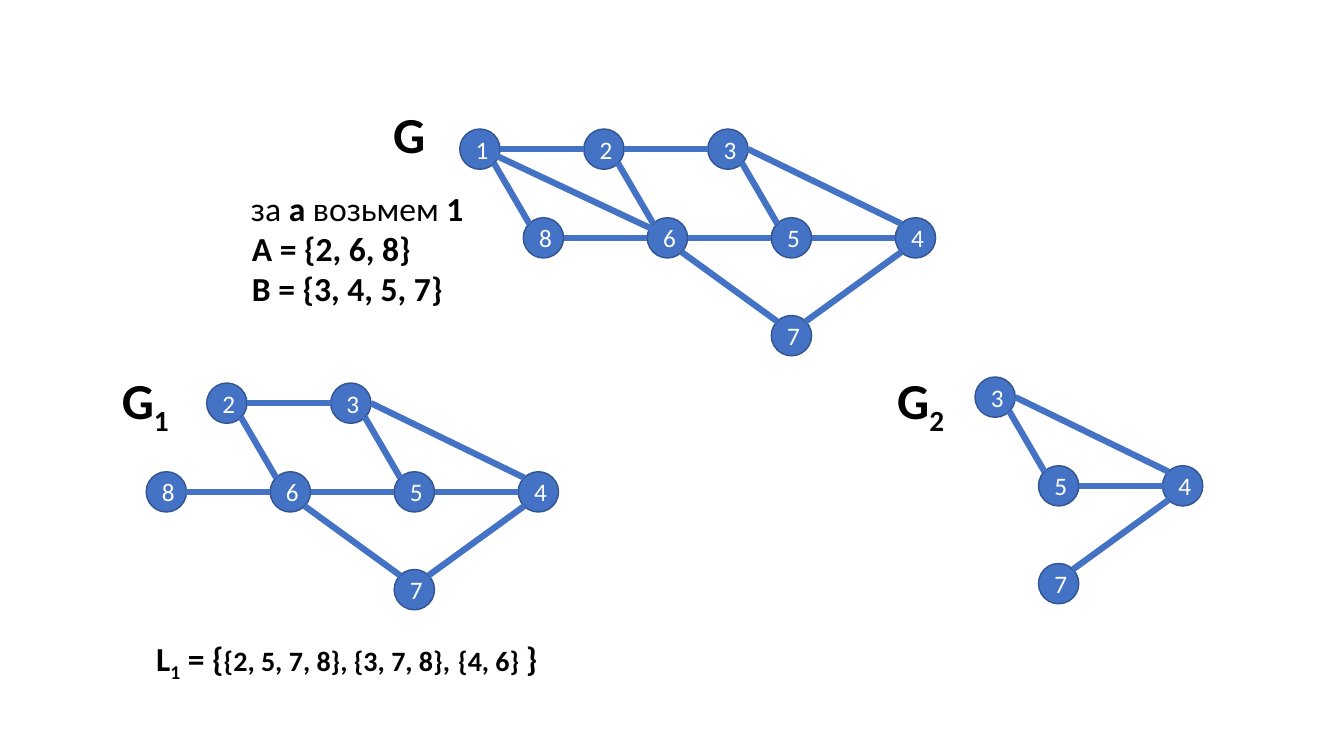
from lxml.etree import SubElement
from pptx import Presentation
from pptx.dml.color import RGBColor
from pptx.enum.shapes import MSO_CONNECTOR, MSO_SHAPE
from pptx.enum.text import MSO_ANCHOR, MSO_AUTO_SIZE, PP_ALIGN
from pptx.oxml.ns import qn
from pptx.util import Inches, Pt

BLUE = RGBColor(0x44, 0x72, 0xC4)
DARK_BLUE = RGBColor(0x32, 0x54, 0x91)
WHITE = RGBColor(0xFF, 0xFF, 0xFF)
BLACK = RGBColor(0, 0, 0)

DIAMETER = 0.4
RADIUS = DIAMETER / 2
STEP = 1.23
SHIFT = 0.63
MIDDLE = 0.88
BOTTOM = 1.85

VERTICES = {
    1: (0, 0), 2: (STEP, 0), 3: (2 * STEP, 0),
    8: (SHIFT, MIDDLE), 6: (SHIFT + STEP, MIDDLE),
    5: (SHIFT + 2 * STEP, MIDDLE), 4: (SHIFT + 3 * STEP, MIDDLE),
    7: (SHIFT + 2 * STEP, BOTTOM),
}

LEFT, RIGHT = (-RADIUS, 0), (RADIUS, 0)
UPPER_LEFT, UPPER_RIGHT = (-0.14, -0.14), (0.14, -0.14)
LOWER_LEFT, LOWER_RIGHT = (-0.14, 0.14), (0.14, 0.14)

EDGES = [
    *((start, end, LOWER_RIGHT, UPPER_LEFT)
      for start, end in ((1, 8), (2, 6), (3, 5), (6, 7))),
    *((start, end, RIGHT, LEFT)
      for start, end in ((5, 4), (6, 5), (8, 6), (1, 2), (2, 3))),
    (7, 4, UPPER_RIGHT, LOWER_LEFT),
    (1, 6, (0.13, 0.05), (-0.09, -0.06)),
    (3, 4, RIGHT, UPPER_LEFT),
]


class GraphSlide:
    """Draws graphs and their captions on one slide in a common style."""

    def __init__(self, slide, font="Calibri"):
        self.shapes = slide.shapes
        self.font = font

    def run(self, paragraph, text, size, color=BLACK, bold=True, subscript=False):
        run = paragraph.add_run()
        run.text = text
        run.font.name = self.font
        run.font.size = Pt(size)
        run.font.bold = bold
        run.font.color.rgb = color
        if subscript:
            run.font._element.set("baseline", "-25000")

    def vertex(self, number, left, top):
        circle = self.shapes.add_shape(
            MSO_SHAPE.OVAL, Inches(left), Inches(top), Inches(DIAMETER), Inches(DIAMETER))
        circle.shadow.inherit = False
        circle.fill.solid()
        circle.fill.fore_color.rgb = BLUE
        circle.line.color.rgb = DARK_BLUE
        circle.line.width = Pt(1)
        circle.text_frame.vertical_anchor = MSO_ANCHOR.MIDDLE
        label = circle.text_frame.paragraphs[0]
        label.alignment = PP_ALIGN.CENTER
        self.run(label, str(number), 18, WHITE, bold=False)

    def edge(self, start, end):
        line = self.shapes.add_connector(
            MSO_CONNECTOR.STRAIGHT, *(Inches(value) for value in (*start, *end)))
        line.line.color.rgb = BLUE
        line.line.width = Pt(4.5)
        SubElement(line._element.spPr, qn("a:effectLst"))

    def graph(self, left, top, numbers):
        corners = {n: (left + VERTICES[n][0], top + VERTICES[n][1]) for n in numbers}
        for number, corner in corners.items():
            self.vertex(number, *corner)
        for start, end, start_offset, end_offset in EDGES:
            if start in corners and end in corners:
                self.edge(*(
                    [place + RADIUS + shift for place, shift in zip(corners[n], offset)]
                    for n, offset in ((start, start_offset), (end, end_offset))))

    def caption(self, left, top, width, height, size, *lines):
        frame = self.shapes.add_textbox(
            Inches(left), Inches(top), Inches(width), Inches(height)).text_frame
        frame.word_wrap = False
        frame.auto_size = MSO_AUTO_SIZE.SHAPE_TO_FIT_TEXT
        for index, line in enumerate(lines):
            paragraph = frame.add_paragraph() if index else frame.paragraphs[0]
            for text, style in line:
                self.run(paragraph, text, **{"size": size, **style})


presentation = Presentation()
presentation.slide_width = Inches(13.33)
presentation.slide_height = Inches(7.5)
page = GraphSlide(presentation.slides.add_slide(presentation.slide_layouts[6]))

page.graph(4.56, 1.28, [1, 2, 3, 8, 6, 5, 4, 7])
page.graph(0.82, 3.8, [2, 3, 8, 6, 5, 4, 7])
page.graph(7.21, 3.74, [3, 5, 4, 7])

BOLD, REGULAR, SUBSCRIPT, SMALL = {}, {"bold": False}, {"subscript": True}, {"size": 20}

for index, left in (("1", 1.11), ("2", 8.8)):
    page.caption(left, 3.61, 0.69, 0.71, 36, [("G", BOLD), (index, SUBSCRIPT)])
page.caption(3.8, 0.97, 0.52, 0.71, 36, [("G", BOLD)])
page.caption(2.39, 1.82, 2.33, 0.5, 24,
             [("за ", REGULAR), ("а", BOLD), (" возьмем ", REGULAR), ("1", BOLD)])
page.caption(2.4, 2.21, 2.11, 0.91, 24,
             [("А = {2, 6, 8}", BOLD)], [("B = {3, 4, 5, 7}", BOLD)])
page.caption(1.45, 6.28, 4.02, 0.5, 24,
             [("L", BOLD), ("1", SUBSCRIPT), (" = {", BOLD),
              ("{2, 5, 7, 8}, {3, 7, 8},", SMALL), (" ", BOLD),
              ("{4, 6} ", SMALL), ("}", BOLD)])

presentation.save("out.pptx")
